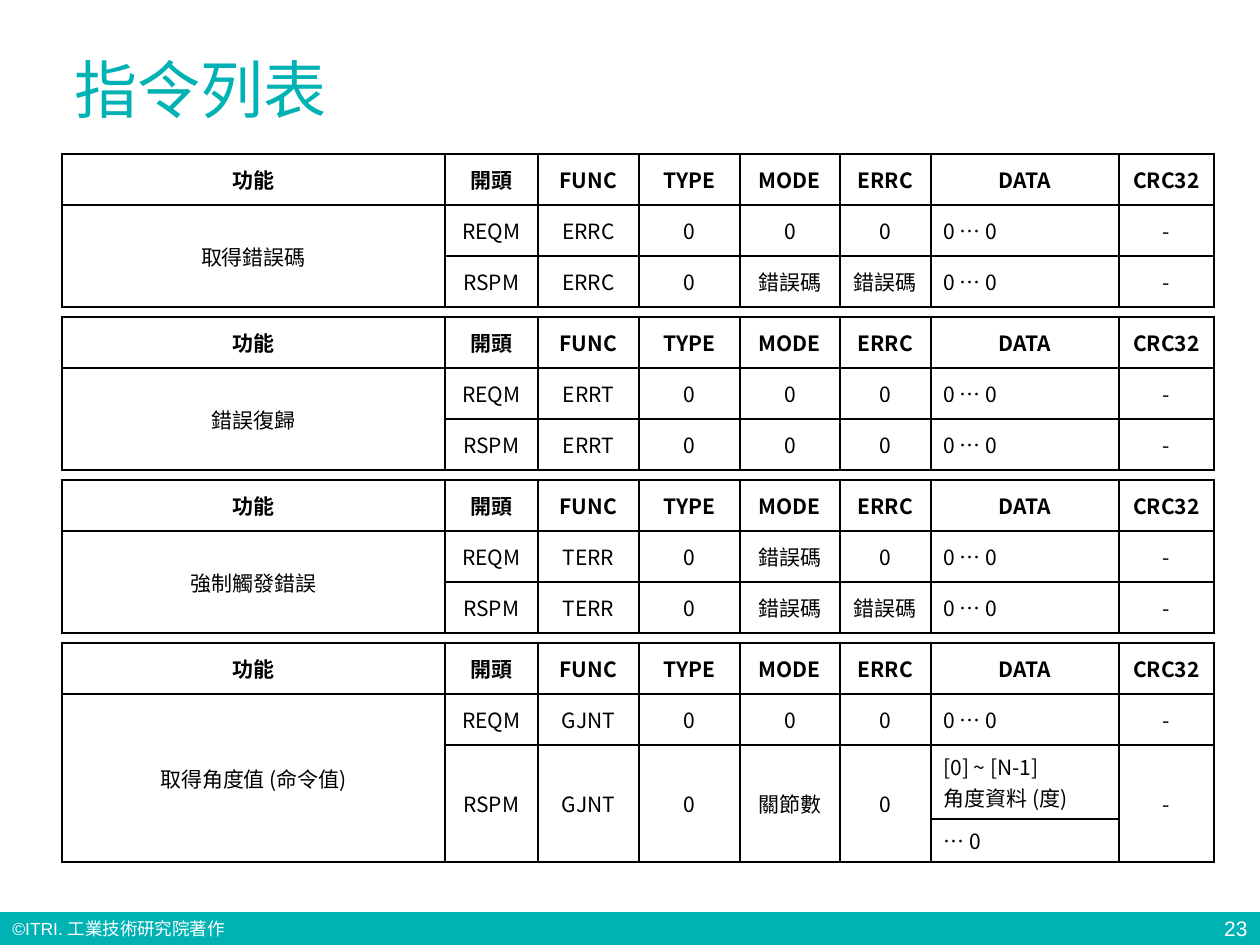
import dataclasses
import lxml.etree
import pptx
import pptx.dml.color
import pptx.enum.shapes
import pptx.enum.text
import pptx.oxml.ns
import pptx.util


@dataclasses.dataclass
class Theme:
    teal: str = "00B2B3"
    white: str = "FFFFFF"
    black: str = "000000"
    sans: str = "Arial"
    cjk: str = "Noto Sans CJK SC"
    title: int = 36
    body: int = 12
    note: int = 10


theme = Theme()
qn = pptx.oxml.ns.qn
rgb = pptx.dml.color.RGBColor.from_string
align = pptx.enum.text.PP_ALIGN
anchor = pptx.enum.text.MSO_ANCHOR


def px(*sizes):
    return [round(size * 914400 / 126) for size in sizes]


def style(frame, size, color, font, side=align.LEFT, bold=False):
    for para in frame.paragraphs:
        para.alignment = side
        for run in para.runs:
            run.font.size = pptx.util.Pt(size)
            run.font.name = font
            run.font.bold = bold
            run.font.color.rgb = rgb(color)
            if font == theme.cjk:
                lxml.etree.SubElement(run.font._element, qn("a:ea"), typeface=font)


deck = pptx.Presentation()
deck.slide_width, deck.slide_height = px(1260, 945)
slide = deck.slides.add_slide(deck.slide_layouts[5])

title = slide.shapes.title
title.left, title.top, title.width, title.height = px(62, 44, 1152, 122)
title.text_frame.text = "指令列表"
title.text_frame.auto_size = pptx.enum.text.MSO_AUTO_SIZE.NONE
title.text_frame.vertical_anchor = anchor.TOP
style(title.text_frame, theme.title, theme.teal, theme.sans)

bar = slide.shapes.add_shape(
    pptx.enum.shapes.MSO_SHAPE.RECTANGLE, *px(0, 912, 1260, 33))
bar.shadow.inherit = False
bar.fill.solid()
bar.fill.fore_color.rgb = rgb(theme.teal)
bar.line.fill.background()

labels = [
    ("©ITRI. 工業技術研究院著作", 0, 491, theme.note, align.LEFT, anchor.TOP),
    ("23", 1182, 78, theme.body, align.RIGHT, anchor.MIDDLE),
]
for text, left, width, size, side, place in labels:
    frame = slide.shapes.add_textbox(*px(left, 912, width, 33)).text_frame
    frame.word_wrap = True
    frame.vertical_anchor = place
    frame.text = text
    style(frame, size, theme.white, theme.sans, side)

heads = ["功能", "開頭", "FUNC", "TYPE", "MODE", "ERRC", "DATA", "CRC32"]
widths = [383, 93, 101, 101, 100, 91, 188, 95]
data = heads.index("DATA")
groups = [
    ("取得錯誤碼", "ERRC", ["0", "0"], ["錯誤碼", "錯誤碼"], ["0 … 0"]),
    ("錯誤復歸", "ERRT", ["0", "0"], ["0", "0"], ["0 … 0"]),
    ("強制觸發錯誤", "TERR", ["錯誤碼", "0"], ["錯誤碼", "錯誤碼"], ["0 … 0"]),
    ("取得角度值 (命令值)", "GJNT", ["0", "0"], ["關節數", "0"],
     ["[0] ~ [N-1]\n角度資料 (度)", "… 0"]),
]

for index, (name, func, ask, reply, parts) in enumerate(groups):
    rows = [
        heads,
        [name, "REQM", func, "0", *ask, "0 … 0", "-"],
        ["", "RSPM", func, "0", *reply, parts[0], "-"],
    ]
    rows += [[""] * data + [part, ""] for part in parts[1:]]
    tall = [51, 51, 51] if len(parts) == 1 else [51, 51, 74, 43]
    top = 154 + 163 * index
    table = slide.shapes.add_table(
        len(rows), len(heads), *px(62, top, sum(widths), sum(tall))).table
    table.first_row = False
    table.horz_banding = False
    for column, width in zip(table.columns, px(*widths)):
        column.width = width
    for row, height in zip(table.rows, px(*tall)):
        row.height = height

    for r, row in enumerate(rows):
        for c, text in enumerate(row):
            cell = table.cell(r, c)
            cell.vertical_anchor = anchor.MIDDLE
            cell.text_frame.text = text
            side = align.LEFT if r and c == data else align.CENTER
            style(cell.text_frame, theme.body, theme.black, theme.cjk, side, r == 0)
            props = cell._tc.get_or_add_tcPr()
            for edge in ("a:lnL", "a:lnR", "a:lnT", "a:lnB"):
                line = lxml.etree.SubElement(props, qn(edge), w="12700")
                fill = lxml.etree.SubElement(line, qn("a:solidFill"))
                lxml.etree.SubElement(fill, qn("a:srgbClr"), val=theme.black)
            cell.fill.background()

    last = len(rows) - 1
    table.cell(1, 0).merge(table.cell(last, 0))
    if last > 2:
        for c in range(1, len(heads)):
            if c != data:
                table.cell(2, c).merge(table.cell(last, c))

deck.save("out.pptx")
